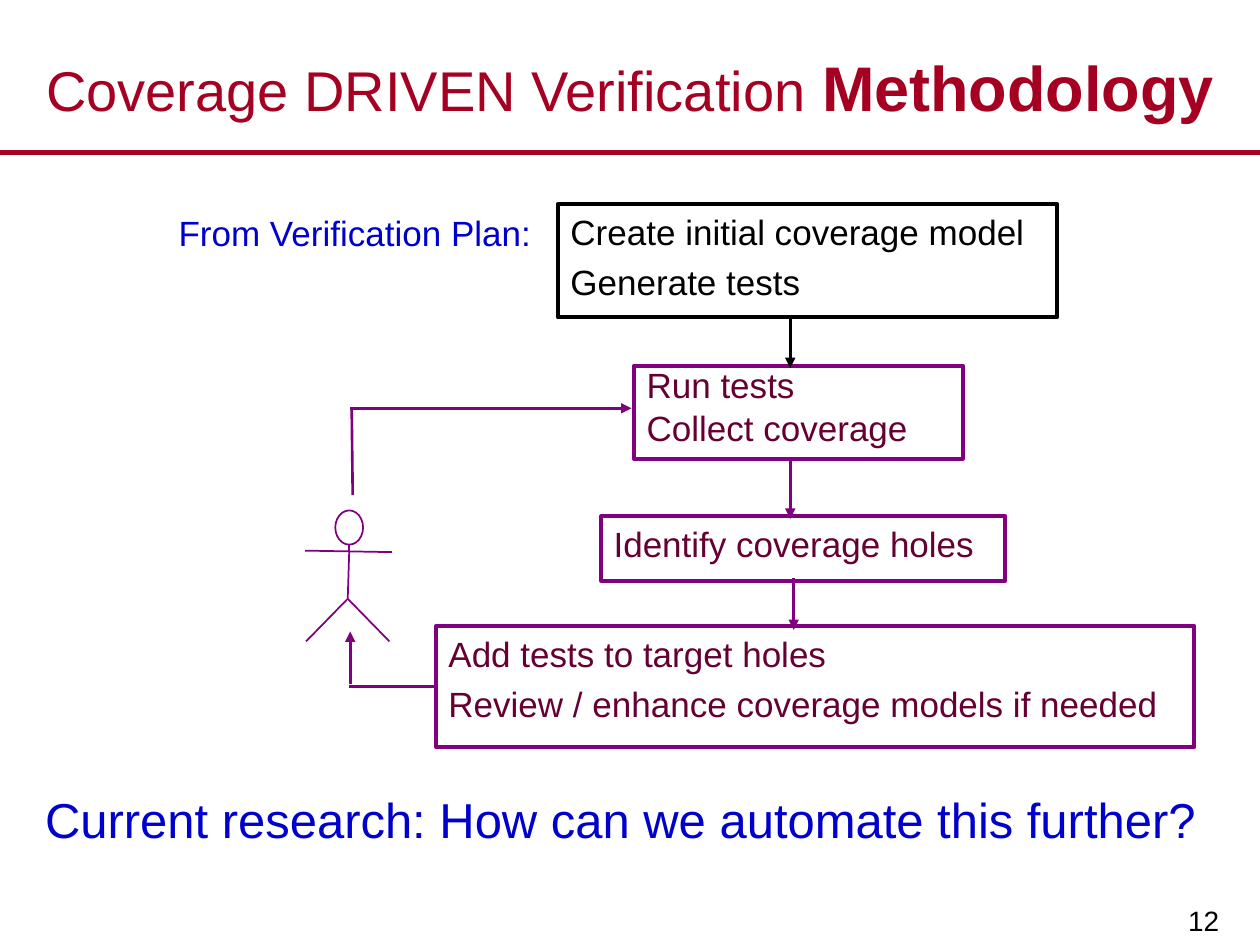
from lxml.etree import SubElement
from pptx import Presentation
from pptx.dml.color import RGBColor
from pptx.enum.shapes import MSO_CONNECTOR, MSO_SHAPE
from pptx.enum.text import MSO_ANCHOR, MSO_AUTO_SIZE, PP_ALIGN
from pptx.oxml.ns import qn
from pptx.util import Cm, Pt

COLORS = {name: RGBColor.from_string(value) for name, value in {
    "red": "A50021", "blue": "0000CC", "black": "000000",
    "purple": "800080", "plum": "660033", "white": "FFFFFF",
}.items()}


def write_text(shape, box, paragraphs, size, color, frame_format=None, paragraph_format=None):
    """Place the shape at box (in cm) and fill it with paragraphs, each a list of runs."""
    shape.left, shape.top, shape.width, shape.height = [Cm(value) for value in box]
    frame = shape.text_frame
    frame_values = {"word_wrap": True, "auto_size": MSO_AUTO_SIZE.NONE,
                    "vertical_anchor": MSO_ANCHOR.TOP} | (frame_format or {})
    for name, value in frame_values.items():
        setattr(frame, name, value)
    for index, runs in enumerate(paragraphs):
        paragraph = frame.add_paragraph() if index else frame.paragraphs[0]
        paragraph_values = {"alignment": PP_ALIGN.LEFT, "space_before": Pt(5)} | (paragraph_format or {})
        for name, value in paragraph_values.items():
            setattr(paragraph, name, value)
        for text in runs:
            run = paragraph.add_run()
            run.text = text
            run.font.name = "Arial"
            run.font.size = Pt(size)
            run.font.color.rgb = COLORS[color]


def add_line(shapes, start, end, color="purple", width=1.5, arrow=False):
    """Draw a line between two points in cm, with an arrowhead at the end if asked."""
    line = shapes.add_connector(MSO_CONNECTOR.STRAIGHT, *[Cm(value) for value in start + end])
    line.line.color.rgb = COLORS[color]
    line.line.width = Pt(width)
    if arrow:
        SubElement(line.line._get_or_add_ln(), qn("a:tailEnd"), type="triangle")
    SubElement(line._element.spPr, qn("a:effectLst"))


presentation = Presentation()
presentation.slide_width, presentation.slide_height = Cm(25.4), Cm(19.05)
slide = presentation.slides.add_slide(presentation.slide_layouts[1])
shapes = slide.shapes
body = slide.placeholders[1]

# Title, rule and slide number
write_text(shapes.title, (0, 0.64, 25.4, 2.18),
           [["Coverage DRIVEN Verification ", "Methodology"]], 32, "red",
           {"vertical_anchor": MSO_ANCHOR.MIDDLE},
           {"alignment": PP_ALIGN.CENTER, "space_before": Pt(0)})
emphasis = shapes.title.text_frame.paragraphs[0].runs[1].font
emphasis.size, emphasis.bold = Pt(36), True
add_line(shapes, (0, 3.07), (25.4, 3.07), "red", 3)
write_text(shapes.add_textbox(0, 0, 0, 0), (19.81, 17.6, 5.05, 1.45), [["12"]], 16, "black",
           {"vertical_anchor": MSO_ANCHOR.BOTTOM, "margin_right": Cm(0.28), "margin_bottom": Cm(0.15)},
           {"alignment": PP_ALIGN.RIGHT, "space_before": Pt(0)})

# Free text
labels = [
    ((3.35, 4.14, 8.15, 1.7), "From Verification Plan:", 20, 5),
    ((0.66, 15.8, 23.83, 1.6), "Current research: How can we automate this further?", 28, 7),
]
for box, text, size, space in labels:
    write_text(shapes.add_textbox(0, 0, 0, 0), box, [[text]], size, "blue",
               paragraph_format={"space_before": Pt(space)})

# Process steps
write_text(body, (12.78, 7.37, 6.63, 1.88), [["Run tests"], ["Collect coverage"]], 20, "plum",
           paragraph_format={"line_spacing": 0.8})
for paragraph in body.text_frame.paragraphs:
    properties = paragraph._p.get_or_add_pPr()
    properties.set("marL", "0")
    properties.set("indent", "0")
    SubElement(properties, qn("a:buNone"))
body.line.color.rgb = COLORS["purple"]
body.line.width = Pt(2.25)

steps = [
    ((11.25, 4.11, 10.06, 2.29), [["Create initial coverage model"], ["Generate tests"]], "black", "black"),
    ((12.12, 10.41, 8.15, 1.3), [["Identify coverage holes"]], "plum", "purple"),
    ((8.79, 12.62, 15.29, 2.44),
     [["Add tests to target holes"], ["Review / enhance coverage models if needed"]], "plum", "purple"),
]
for box, paragraphs, text_color, line_color in steps:
    step = shapes.add_shape(MSO_SHAPE.RECTANGLE, 0, 0, 0, 0)
    step.shadow.inherit = False
    step.fill.background()
    step.line.color.rgb = COLORS[line_color]
    step.line.width = Pt(2.25)
    write_text(step, box, paragraphs, 20, text_color)

# Flow between the steps and the person
add_line(shapes, (15.93, 6.43), (15.93, 7.42), "black", arrow=True)
for start, end, arrow in [
    ((15.93, 9.25), (15.93, 10.46), True),
    ((16, 11.66), (16, 12.7), True),
    ((8.76, 13.84), (7.04, 13.84), False),
    ((7.06, 13.79), (7.06, 12.73), True),
    ((7.11, 9.98), (7.09, 8.26), False),
    ((7.06, 8.23), (12.73, 8.23), True),
]:
    add_line(shapes, start, end, arrow=arrow)

# Stick figure
person = shapes.add_group_shape()
head = person.shapes.add_shape(MSO_SHAPE.OVAL, Cm(6.76), Cm(10.29), Cm(0.56), Cm(0.69))
head.shadow.inherit = False
head.fill.solid()
head.fill.fore_color.rgb = COLORS["white"]
head.line.color.rgb = COLORS["purple"]
head.line.width = Pt(1)
neck, shoulder, hip = (7.04, 10.97), (7.04, 11.11), (7.01, 12.07)
for start, end in [
    (neck, shoulder),
    ((6.15, 11.1), (7.9, 11.13)),
    (shoulder, hip),
    (hip, (6.17, 12.93)),
    (hip, (7.85, 12.93)),
]:
    add_line(person.shapes, start, end, width=1)

presentation.save("out.pptx")
